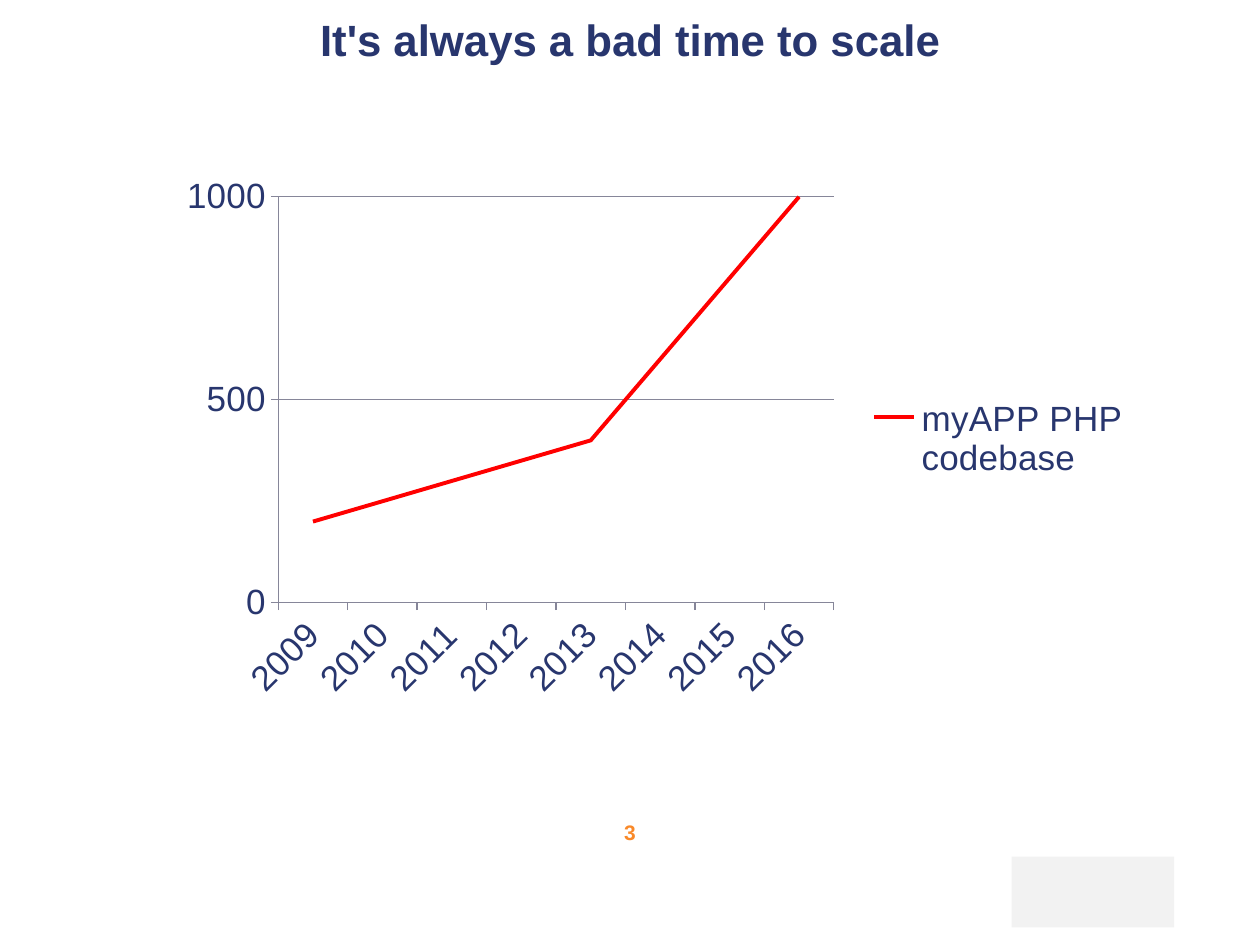
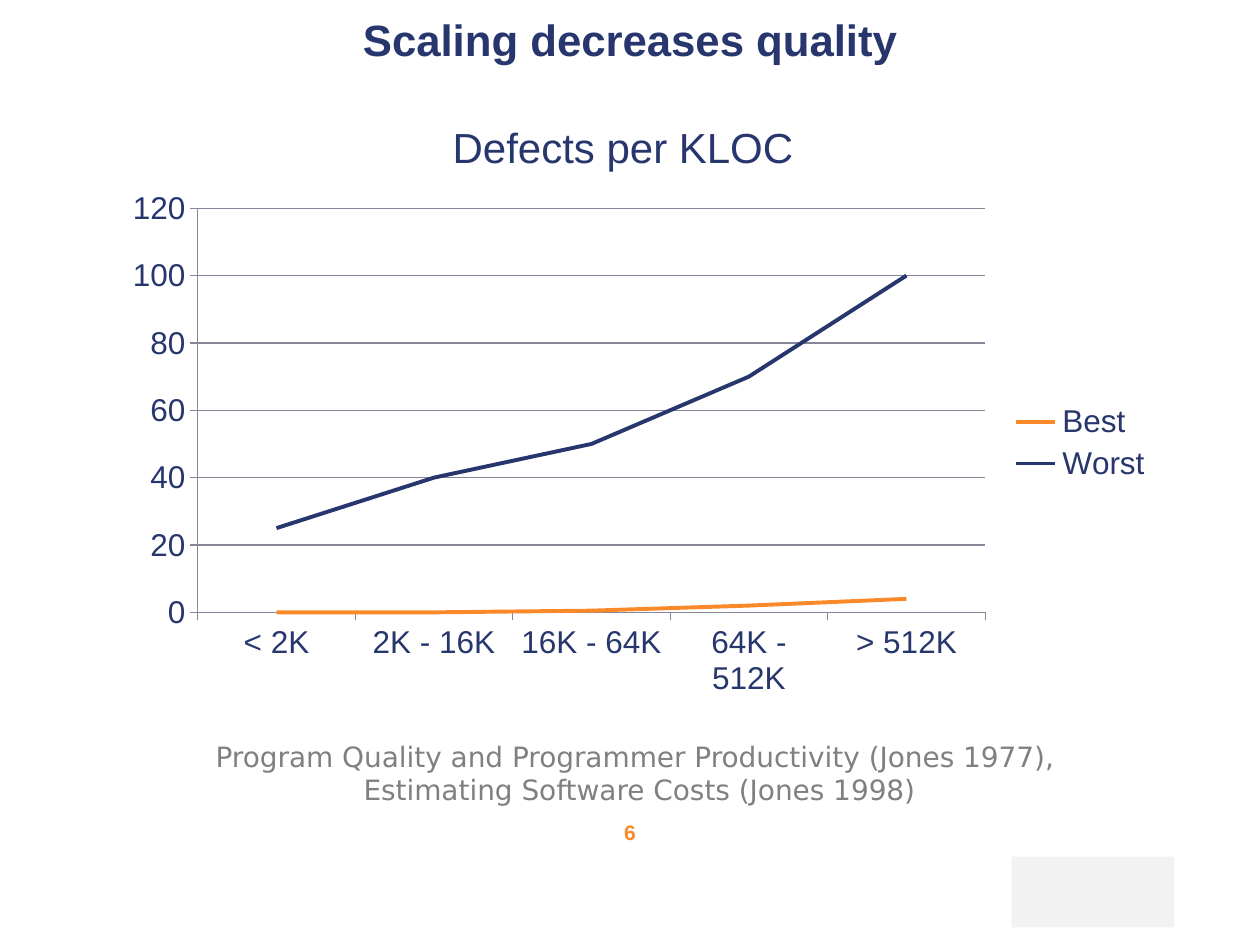
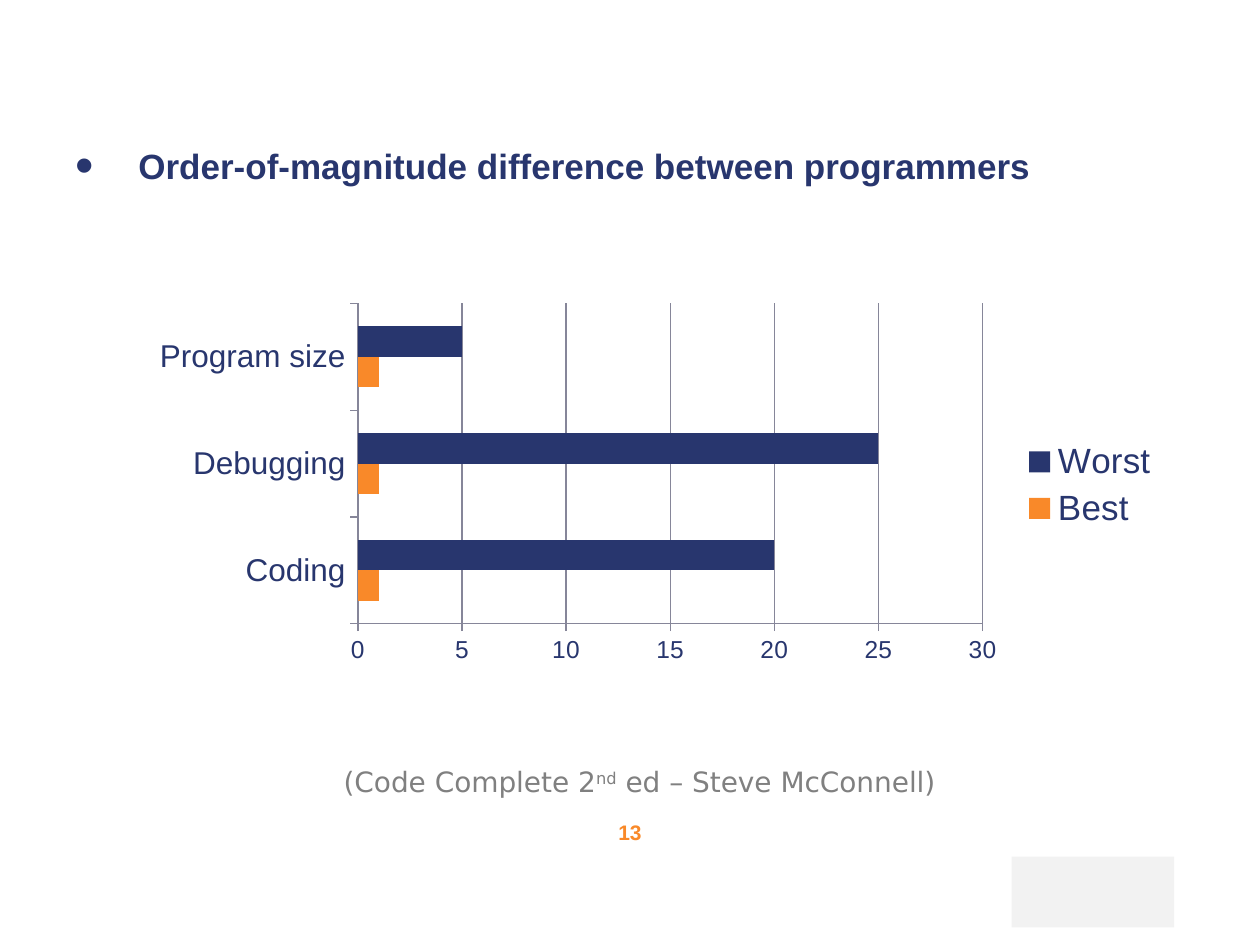
from lxml import etree
from pptx import Presentation
from pptx.chart.data import CategoryChartData
from pptx.dml.color import RGBColor
from pptx.enum import chart as charts, shapes, text
from pptx.oxml import ns
from pptx.util import Pt

COLORS = {
    "navy": "28366E",
    "orange": "F98929",
    "red": "FF0000",
    "grey": "808080",
    "axis": "868699",
    "panel": "F2F2F2",
    "white": "FFFFFF",
}
HEADING_FONT = "Arial"
CITATION_FONT = "DejaVu Sans"
SLIDE_W, SLIDE_H = 720, 540


def rgb(name):
    return RGBColor.from_string(COLORS[name])


def style_font(font, size, color="navy", name=HEADING_FONT, bold=False):
    font.size, font.name, font.bold = Pt(size), name, bold
    font.color.rgb = rgb(color)


def add_text(slide, box, lines, size, color="navy", name=HEADING_FONT, bold=False,
             align=text.PP_ALIGN.CENTER, anchor=text.MSO_ANCHOR.TOP, wrap=True):
    """Place one paragraph per line and return the paragraphs."""
    frame = slide.shapes.add_textbox(*map(Pt, box)).text_frame
    frame.word_wrap = wrap
    frame.vertical_anchor = anchor
    for index, line in enumerate(lines):
        paragraph = frame.paragraphs[0] if index == 0 else frame.add_paragraph()
        paragraph.text = line
        paragraph.alignment = align
        style_font(paragraph.font, size, color, name, bold)
    return frame.paragraphs


# Shared parts of every slide
def new_slide(prs, number):
    slide = prs.slides.add_slide(prs.slide_layouts[6])
    slide.background.fill.solid()
    slide.background.fill.fore_color.rgb = rgb("white")
    panel = slide.shapes.add_shape(shapes.MSO_SHAPE.RECTANGLE,
                                   *map(Pt, (578, 489.5, 93, 40.5)))
    panel.shadow.inherit = False
    panel.fill.solid()
    panel.fill.fore_color.rgb = rgb("panel")
    panel.line.fill.background()
    add_text(slide, (342, 464.5, 36, 25), [str(number)], 12, "orange", bold=True)
    return slide


def add_title(slide, title):
    add_text(slide, (0, 0, SLIDE_W, 45), [title], 25, bold=True,
             anchor=text.MSO_ANCHOR.MIDDLE)


def add_citation(slide, top, lines):
    return add_text(slide, (64, top, 603, 46), lines, 16, "grey", CITATION_FONT)


def add_bullet(slide, box, line):
    paragraph = add_text(slide, box, [line], 20, bold=True,
                         align=text.PP_ALIGN.LEFT)[0]
    props = paragraph._p.get_or_add_pPr()
    props.set("marL", str(Pt(36)))
    props.set("indent", str(-Pt(36)))
    bullet_color = etree.Element(ns.qn("a:buClr"))
    etree.SubElement(bullet_color, ns.qn("a:srgbClr"), val=COLORS["navy"])
    bullet_parts = [
        bullet_color,
        etree.Element(ns.qn("a:buSzPct"), val="150000"),
        etree.Element(ns.qn("a:buFont"), typeface=HEADING_FONT),
        etree.Element(ns.qn("a:buChar"), char="•"),
    ]
    for index, part in enumerate(bullet_parts):
        props.insert(index, part)


# Charts
def fix_plot_area(chart, box, plot):
    """Pin the inner plot area, given in points on the slide."""
    left, top, width, height = box
    shares = {
        "x": (plot[0] - left) / width,
        "y": (plot[1] - top) / height,
        "w": plot[2] / width,
        "h": plot[3] / height,
    }
    area = chart._chartSpace.find(".//" + ns.qn("c:plotArea"))
    for old in area.findall(ns.qn("c:layout")):
        area.remove(old)
    layout = etree.Element(ns.qn("c:layout"))
    manual = etree.SubElement(layout, ns.qn("c:manualLayout"))
    settings = {"layoutTarget": "inner", "xMode": "edge", "yMode": "edge", **shares}
    for tag, value in settings.items():
        etree.SubElement(manual, ns.qn("c:" + tag), val=str(value))
    area.insert(0, layout)


def style_axis_line(line):
    line.color.rgb = rgb("axis")
    line.width = Pt(0.75)


def add_chart(slide, kind, box, plot, categories, series, size,
              category_size=None, legend_size=None):
    data = CategoryChartData()
    data.categories = categories
    for name, values, _ in series:
        data.add_series(name, values)
    chart = slide.shapes.add_chart(kind, *map(Pt, box), data).chart
    chart.has_title = False
    style_font(chart.font, size)
    chart.has_legend = True
    chart.legend.position = charts.XL_LEGEND_POSITION.RIGHT
    chart.legend.include_in_layout = False
    style_font(chart.legend.font, legend_size or size)

    for axis in (chart.category_axis, chart.value_axis):
        axis.major_tick_mark = charts.XL_TICK_MARK.OUTSIDE
        axis.minor_tick_mark = charts.XL_TICK_MARK.NONE
        style_axis_line(axis.format.line)
        style_font(axis.tick_labels.font, size)
    style_font(chart.category_axis.tick_labels.font, category_size or size)
    chart.value_axis.has_major_gridlines = True
    style_axis_line(chart.value_axis.major_gridlines.format.line)

    chart.plots[0].vary_by_categories = False
    for drawn, (_, _, color) in zip(chart.plots[0].series, series):
        if kind == charts.XL_CHART_TYPE.LINE:
            drawn.smooth = False
            drawn.format.line.color.rgb = rgb(color)
            drawn.format.line.width = Pt(2.25)
        else:
            drawn.format.fill.solid()
            drawn.format.fill.fore_color.rgb = rgb(color)
    fix_plot_area(chart, box, plot)
    return chart


# Slides
def scale_slide(prs):
    slide = new_slide(prs, 3)
    growth = add_chart(
        slide, charts.XL_CHART_TYPE.LINE, (96, 96, 558, 310), (159, 112.5, 317.5, 232),
        [str(year) for year in range(2009, 2017)],
        [("myAPP PHP codebase", (200, 250, 300, 350, 400, 600, 800, 1000), "red")], 20)
    growth.value_axis.minimum_scale = 0
    growth.value_axis.maximum_scale = 1000
    growth.value_axis.major_unit = 500
    labels = growth.category_axis._element.find(ns.qn("c:txPr"))
    labels.find(ns.qn("a:bodyPr")).set("rot", str(-45 * 60000))
    add_title(slide, "It's always a bad time to scale")


def quality_slide(prs):
    slide = new_slide(prs, 6)
    add_title(slide, "Scaling decreases quality")
    defects = add_chart(
        slide, charts.XL_CHART_TYPE.LINE, (64, 103, 602, 300), (113, 119, 450, 231),
        ["< 2K", "2K - 16K", "16K - 64K", "64K - 512K", "> 512K"],
        [("Best", (0, 0, 0.5, 2, 4), "orange"),
         ("Worst", (25, 40, 50, 70, 100), "navy")], 18)
    defects.value_axis.minimum_scale = 0
    defects.value_axis.maximum_scale = 120
    defects.value_axis.major_unit = 20
    defects.value_axis.tick_labels.number_format = "0"
    defects.value_axis.tick_labels.number_format_is_linked = False
    add_text(slide, (250.5, 66, 211, 36), ["Defects per KLOC"], 24, wrap=False)
    add_citation(slide, 419, [
        "Program Quality and Programmer Productivity (Jones 1977), ",
        "Estimating Software Costs (Jones 1998)"])


def programmers_slide(prs):
    slide = new_slide(prs, 13)
    add_bullet(slide, (36, 79, 648, 370),
               "Order-of-magnitude difference between programmers")
    spread = add_chart(
        slide, charts.XL_CHART_TYPE.BAR_CLUSTERED, (80, 170, 590, 214.5),
        (204.5, 173.5, 357, 183), ["Coding", "Debugging", "Program size"],
        [("Best", (1, 1, 1), "orange"), ("Worst", (20, 25, 5), "navy")],
        14, category_size=18, legend_size=20)
    spread.plots[0].gap_width = 150
    spread.value_axis.minimum_scale = 0
    spread.value_axis.maximum_scale = 30
    spread.value_axis.major_unit = 5
    source = add_citation(slide, 433.5, ["(Code Complete 2"])[0]
    ordinal = source.add_run()
    ordinal.text = "nd"
    ordinal._r.get_or_add_rPr().set("baseline", "30000")
    source.add_run().text = " ed – Steve McConnell)"


def main():
    prs = Presentation()
    prs.slide_width, prs.slide_height = Pt(SLIDE_W), Pt(SLIDE_H)
    scale_slide(prs)
    quality_slide(prs)
    programmers_slide(prs)
    prs.save("out.pptx")


if __name__ == "__main__":
    main()
